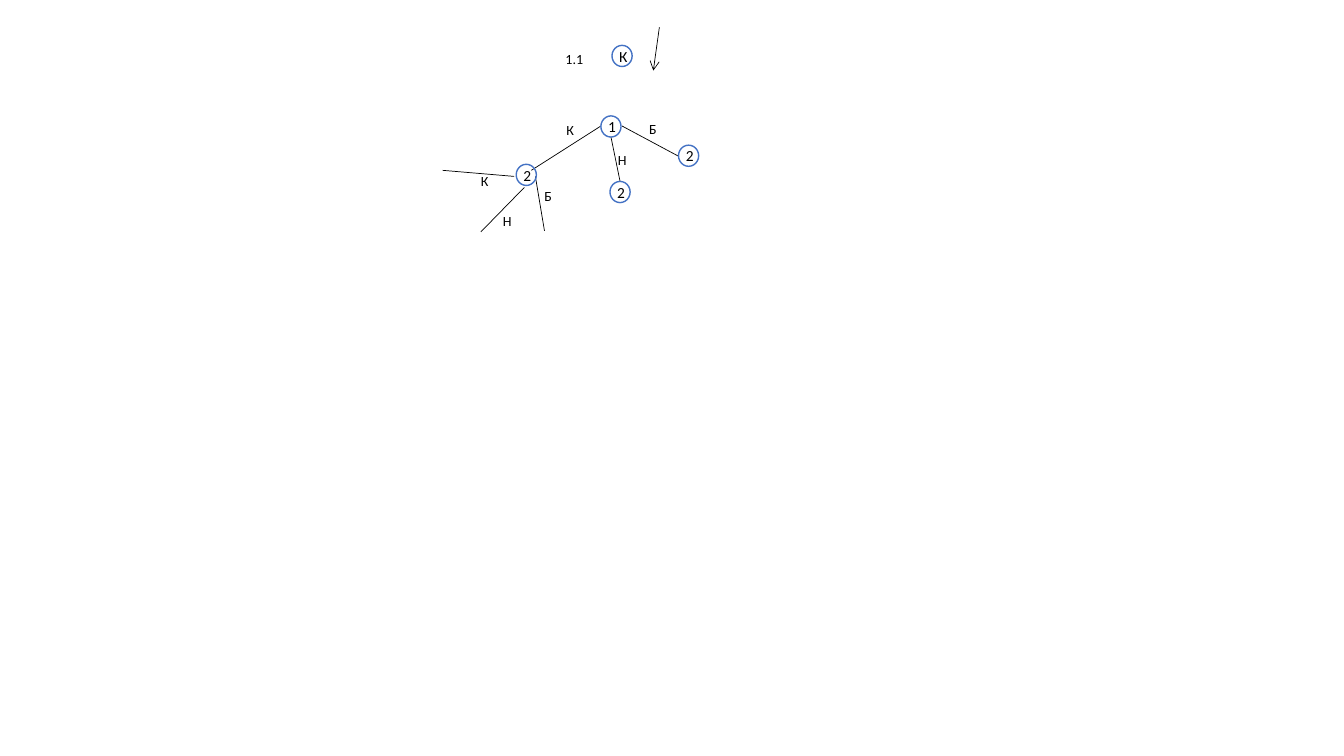
from dataclasses import dataclass

import lxml.etree
import pptx
import pptx.dml.color
import pptx.enum.shapes
import pptx.enum.text
import pptx.oxml.ns
import pptx.shapes.connector
import pptx.slide
import pptx.text.text
import pptx.util

COLOURS = {"ring": "4472C4", "ink": "000000"}
FONT = "Calibri"
NODE_WIDTH, NODE_HEIGHT = 0.2, 0.21
LABEL_WIDTH, LABEL_HEIGHT = 0.45, 0.27


@dataclass(frozen=True)
class Node:
    text: str
    left: float
    top: float


@dataclass(frozen=True)
class Label:
    text: str
    left: float
    top: float


@dataclass(frozen=True)
class Branch:
    start: tuple[float, float]
    end: tuple[float, float]
    arrow: bool = False


NODES = [
    Node("К", 6.07, 0.45),
    Node("1", 5.96, 1.15),
    Node("2", 5.12, 1.63),
    Node("2", 6.05, 1.8),
    Node("2", 6.73, 1.44),
]

LABELS = [
    Label("1.1", 5.51, 0.45),
    Label("К", 5.52, 1.16),
    Label("Н", 6.03, 1.45),
    Label("Б", 6.34, 1.15),
    Label("К", 4.67, 1.66),
    Label("Н", 4.89, 2.06),
    Label("Б", 5.3, 1.81),
]

BRANCHES = [
    Branch((6.54, 0.27), (6.48, 0.7), arrow=True),
    Branch((5.96, 1.25), (5.27, 1.69)),
    Branch((6.06, 1.36), (6.15, 1.8)),
    Branch((6.17, 1.25), (6.73, 1.55)),
    Branch((5.1, 1.75), (4.39, 1.69)),
    Branch((5.2, 1.86), (4.77, 2.3)),
    Branch((5.31, 1.75), (5.4, 2.29)),
]


def colour(name: str) -> pptx.dml.color.RGBColor:
    return pptx.dml.color.RGBColor.from_string(COLOURS[name])


def write(frame: pptx.text.text.TextFrame, text: str, size: float) -> None:
    frame.word_wrap = True
    para = frame.paragraphs[0]
    para.text = text
    para.font.name = FONT
    para.font.size = pptx.util.Pt(size)
    para.font.color.rgb = colour("ink")


def draw_node(page: pptx.slide.Slide, node: Node) -> None:
    circle = page.shapes.add_shape(
        pptx.enum.shapes.MSO_SHAPE.OVAL,
        pptx.util.Inches(node.left),
        pptx.util.Inches(node.top),
        pptx.util.Inches(NODE_WIDTH),
        pptx.util.Inches(NODE_HEIGHT),
    )
    circle.shadow.inherit = False
    circle.fill.background()
    circle.line.color.rgb = colour("ring")
    circle.line.width = pptx.util.Pt(1)
    frame = circle.text_frame
    write(frame, node.text, 11)
    frame.vertical_anchor = pptx.enum.text.MSO_ANCHOR.MIDDLE
    frame.paragraphs[0].alignment = pptx.enum.text.PP_ALIGN.CENTER


def draw_label(page: pptx.slide.Slide, label: Label) -> None:
    box = page.shapes.add_textbox(
        pptx.util.Inches(label.left),
        pptx.util.Inches(label.top),
        pptx.util.Inches(LABEL_WIDTH),
        pptx.util.Inches(LABEL_HEIGHT),
    )
    write(box.text_frame, label.text, 10)
    box.text_frame.auto_size = pptx.enum.text.MSO_AUTO_SIZE.SHAPE_TO_FIT_TEXT


def add_arrowhead(line: pptx.shapes.connector.Connector) -> None:
    outline = line.line._get_or_add_ln()
    lxml.etree.SubElement(outline, pptx.oxml.ns.qn("a:tailEnd"), type="arrow")


def draw_branch(page: pptx.slide.Slide, branch: Branch) -> None:
    line = page.shapes.add_connector(
        pptx.enum.shapes.MSO_CONNECTOR.STRAIGHT,
        *(pptx.util.Inches(value) for value in branch.start + branch.end),
    )
    line.line.color.rgb = colour("ink")
    line.line.width = pptx.util.Pt(0.5)
    if branch.arrow:
        add_arrowhead(line)
    properties = line._element.spPr
    lxml.etree.SubElement(properties, pptx.oxml.ns.qn("a:effectLst"))


def main() -> None:
    deck = pptx.Presentation()
    deck.slide_width = pptx.util.Inches(13.33)
    deck.slide_height = pptx.util.Inches(7.5)
    page = deck.slides.add_slide(deck.slide_layouts[6])
    for branch in BRANCHES:
        draw_branch(page, branch)
    for node in NODES:
        draw_node(page, node)
    for label in LABELS:
        draw_label(page, label)
    deck.save("out.pptx")


if __name__ == "__main__":
    main()
